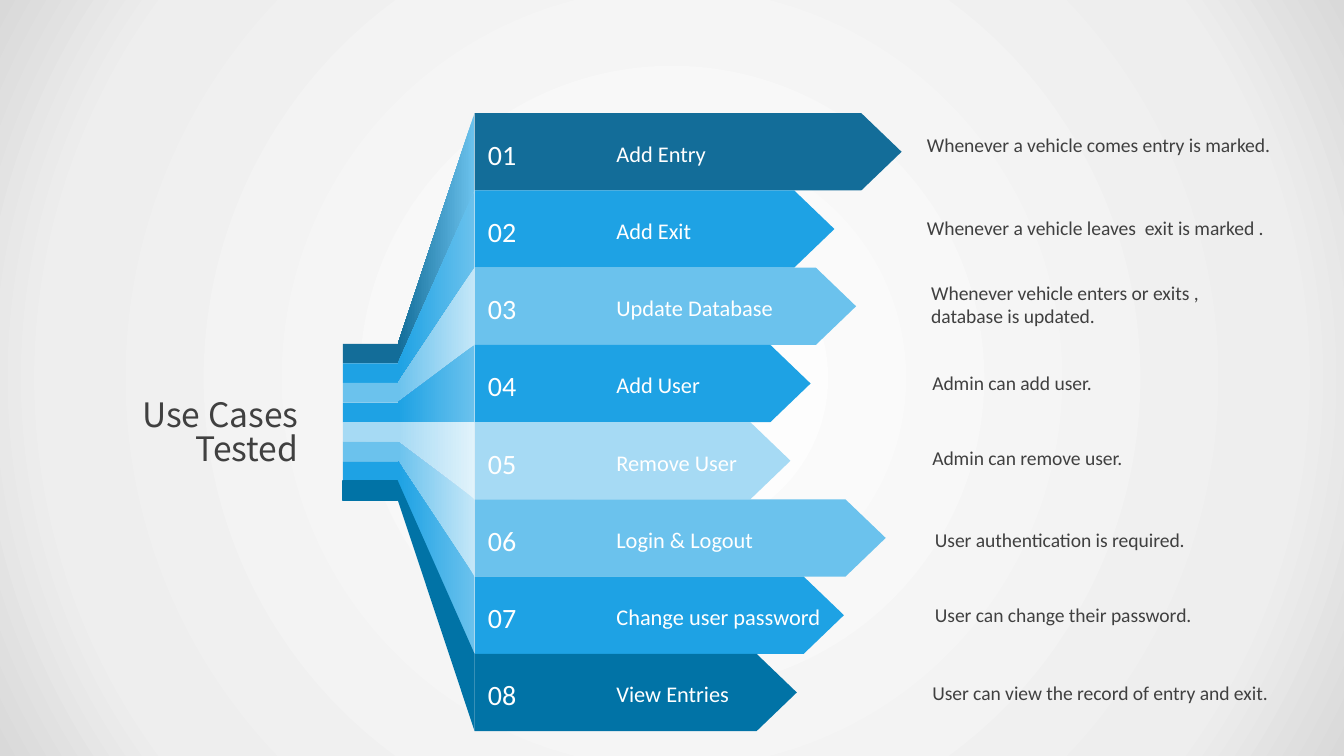
from pptx import Presentation
from pptx.dml.color import RGBColor
from pptx.enum.shapes import MSO_SHAPE
from pptx.enum.text import MSO_AUTO_SIZE, PP_ALIGN
from pptx.oxml import parse_xml
from pptx.oxml.ns import nsdecls
from pptx.util import Cm, Pt

NAVY = RGBColor(0x13, 0x6D, 0x99)
BLUE = RGBColor(0x1E, 0xA2, 0xE4)
SKY = RGBColor(0x6B, 0xC2, 0xED)
PALE = RGBColor(0xA6, 0xDA, 0xF4)
MIST = RGBColor(0xC4, 0xE7, 0xF8)
FROST = RGBColor(0xE1, 0xF3, 0xFB)
OCEAN = RGBColor(0x01, 0x73, 0xA6)
WHITE = RGBColor(0xFF, 0xFF, 0xFF)
GREY = RGBColor(0x40, 0x40, 0x40)

BODY_FONT = "Calibri"
TITLE_FONT = "Noto Sans CJK KR"

# Horizontal stops, then top and pitch of the stubs and of the arrows (cm)
STUB_LEFT, FAN_LEFT, ARROW_LEFT, LABEL_LEFT = 6.48, 7.52, 8.97, 11.4
STUB_TOP, STUB_HEIGHT = 6.5, 0.37
ARROW_TOP, ARROW_HEIGHT, ARROW_HEAD = 2.14, 1.46, 0.76

# Label, label width, arrow tip, colour, fan highlight
USE_CASES = [
    ("Add Entry", 3.33, 17.04, NAVY, SKY),
    ("Add Exit", 3.33, 15.77, BLUE, SKY),
    ("Update Database", 3.53, 16.18, SKY, MIST),
    ("Add User", 3.33, 15.32, BLUE, SKY),
    ("Remove User", 3.33, 14.94, PALE, FROST),
    ("Login & Logout", 3.33, 16.74, SKY, MIST),
    ("Change user password", 4.37, 15.95, BLUE, SKY),
    ("View Entries", 3.33, 15.06, OCEAN, None),
]

# Left, top, width, height, wrap, text
NOTES = [
    (17.27, 2.39, 7.04, 0.71, False, "Whenever a vehicle comes entry is marked."),
    (17.27, 3.96, 6.91, 0.71, True, "Whenever a vehicle leaves  exit is marked ."),
    (17.35, 5.18, 5.66, 1.14, False,
     "Whenever vehicle enters or exits ,\ndatabase is updated."),
    (17.37, 6.88, 3.61, 0.71, False, "Admin can add user."),
    (17.37, 8.31, 4.19, 0.71, False, "Admin can remove user."),
    (17.42, 9.86, 5.31, 0.71, False, "User authentication is required."),
    (17.42, 11.28, 5.44, 0.71, False, "User can change their password."),
    (17.37, 12.75, 6.96, 0.71, False, "User can view the record of entry and exit."),
]


class SlideBuilder:
    """Holds the slide and the style of its elements."""

    def __init__(self, slide):
        self.slide = slide
        self.shapes = slide.shapes

    def start_group(self):
        self.shapes = self.slide.shapes.add_group_shape().shapes

    def end_group(self):
        self.shapes = self.slide.shapes

    def background(self, stops):
        stop_xml = "".join(
            f'<a:gs pos="{position * 1000}"><a:srgbClr val="{color}"/></a:gs>'
            for position, color in stops)
        self.slide.background.fill.solid()
        properties = self.slide.background.fill._xPr
        properties.replace(properties[0], parse_xml(
            f'<a:gradFill {nsdecls("a")} rotWithShape="1"><a:gsLst>{stop_xml}</a:gsLst>'
            '<a:path path="circle"><a:fillToRect l="50000" t="50000" r="50000" b="50000"/>'
            '</a:path></a:gradFill>'))

    def paint(self, shape, color, highlight=None):
        shape.shadow.inherit = False
        shape.line.fill.background()
        if highlight is None:
            shape.fill.solid()
            shape.fill.fore_color.rgb = color
            return
        shape.fill.gradient()
        shape.fill.gradient_angle = 180
        for stop, stop_color in zip(shape.fill.gradient_stops, (highlight, color)):
            stop.color.rgb = stop_color

    def rectangle(self, left, top, width, height, color):
        shape = self.shapes.add_shape(
            MSO_SHAPE.RECTANGLE, Cm(left), Cm(top), Cm(width), Cm(height))
        self.paint(shape, color)
        return shape

    def polygon(self, points, color, highlight=None):
        corners = [(Cm(x), Cm(y)) for x, y in points]
        builder = self.shapes.build_freeform(*corners[0])
        builder.add_line_segments(corners[1:], close=True)
        self.paint(builder.convert_to_shape(), color, highlight)

    def text(self, left, top, width, height, text, size, color,
             font=BODY_FONT, align=PP_ALIGN.LEFT, wrap=True, spacing=None):
        box = self.shapes.add_textbox(Cm(left), Cm(top), Cm(width), Cm(height))
        frame = box.text_frame
        frame.text = text
        frame.word_wrap = wrap
        frame.auto_size = MSO_AUTO_SIZE.SHAPE_TO_FIT_TEXT
        for para in frame.paragraphs:
            para.alignment = align
            para.line_spacing = spacing
            for span in para.runs:
                span.font.name = font
                span.font.size = Pt(size)
                span.font.color.rgb = color


def main():
    deck = Presentation()
    deck.slide_width, deck.slide_height = Cm(25.4), Cm(14.29)
    page = SlideBuilder(deck.slides.add_slide(deck.slide_layouts[6]))
    page.background([(0, "FFFFFF"), (81, "EEEEEE"), (100, "D9D9D9")])

    # Title
    page.text(0.38, 7.46, 5.51, 1.02, "Use Cases Tested", 18, GREY,
              font=TITLE_FONT, align=PP_ALIGN.RIGHT, spacing=0.83)

    # One group per use case: arrow, stub, connecting fan, number and label
    for index, (label, label_width, tip, color, highlight) in enumerate(USE_CASES):
        top = ARROW_TOP + index * ARROW_HEIGHT
        bottom = top + ARROW_HEIGHT
        stub_top = STUB_TOP + index * STUB_HEIGHT
        shoulder = tip - ARROW_HEAD
        page.start_group()
        page.polygon([(tip, (top + bottom) / 2), (shoulder, top), (ARROW_LEFT, top),
                      (ARROW_LEFT, bottom), (shoulder, bottom)], color)
        stub = page.rectangle(STUB_LEFT, stub_top, FAN_LEFT - STUB_LEFT, STUB_HEIGHT, color)
        if highlight is None:
            stub.line.color.rgb = color
            stub.line.width = Pt(0.75)
        page.polygon([(FAN_LEFT, stub_top + STUB_HEIGHT), (ARROW_LEFT, bottom),
                      (ARROW_LEFT, top), (FAN_LEFT, stub_top)], color, highlight)
        page.text(ARROW_LEFT, top + 0.33, 1.04, 0.89, f"{index + 1:02d}", 15, WHITE,
                  align=PP_ALIGN.CENTER)
        page.text(LABEL_LEFT, top + 0.38, label_width, 0.76, label, 12, WHITE)
    page.end_group()

    # Descriptions
    for left, top, width, height, wrap, note in NOTES:
        page.text(left, top, width, height, note, 10.5, GREY, wrap=wrap)

    deck.save("out.pptx")


if __name__ == "__main__":
    main()
